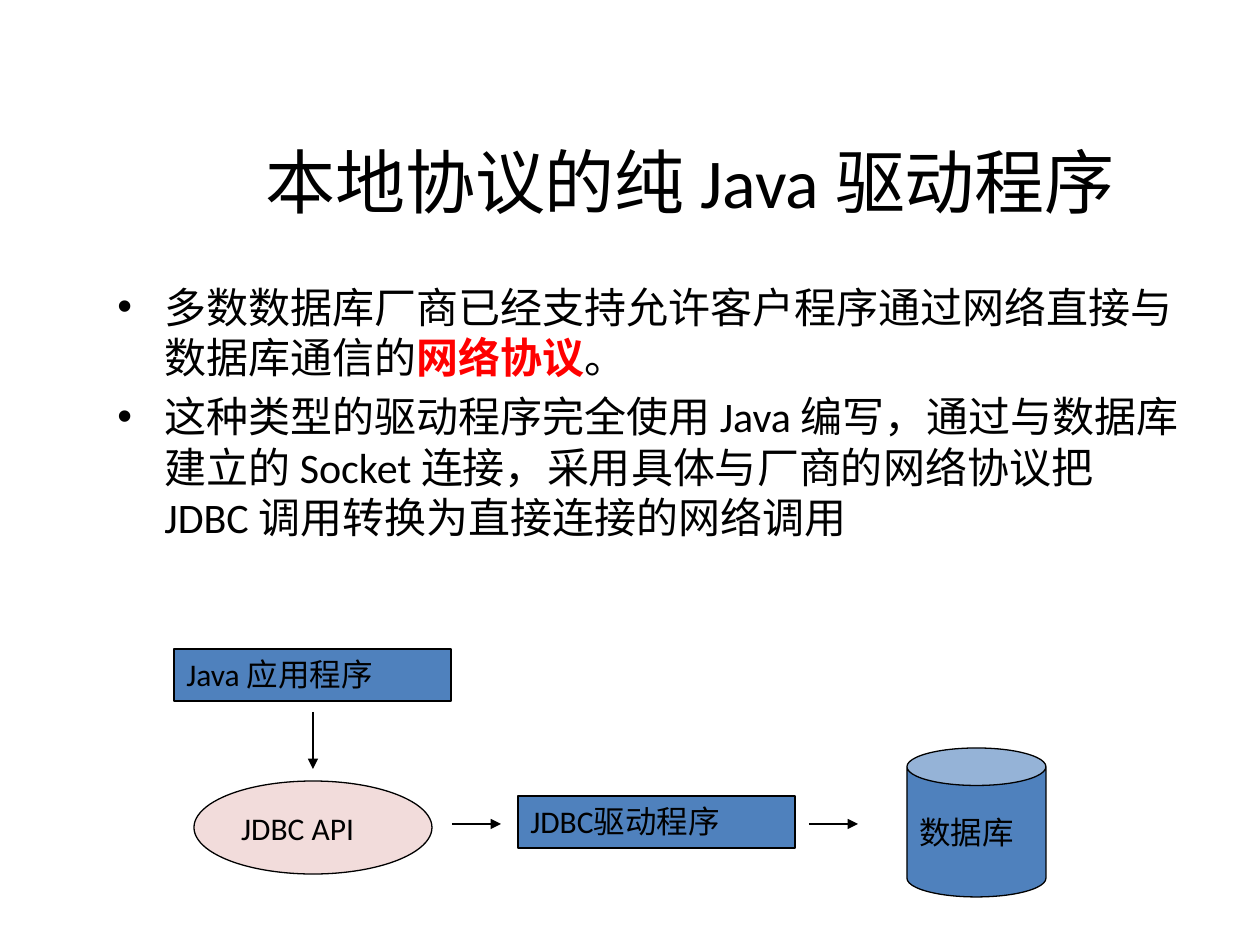
from lxml import etree
from pptx import Presentation
from pptx.dml.color import RGBColor
from pptx.enum.shapes import MSO_CONNECTOR, MSO_SHAPE
from pptx.enum.text import MSO_ANCHOR, MSO_AUTO_SIZE, PP_ALIGN
from pptx.oxml.ns import qn
from pptx.util import Emu, Pt

RECT, OVAL, CAN = MSO_SHAPE.RECTANGLE, MSO_SHAPE.OVAL, MSO_SHAPE.CAN
TOP, MIDDLE = MSO_ANCHOR.TOP, MSO_ANCHOR.MIDDLE
LEFT, CENTER = PP_ALIGN.LEFT, PP_ALIGN.CENTER
NO_FIT, STRAIGHT = MSO_AUTO_SIZE.NONE, MSO_CONNECTOR.STRAIGHT

BLACK, RED, BLUE, PINK = "000000", "FF0000", "4F81BD", "F2DCDB"
FONT, INDENT = "Calibri", 47

TITLE = "本地协议的纯 Java 驱动程序"
TITLE_BOX = (123, 96, 1134, 169)
BODY_BOX = (105, 275, 1087, 291)
BULLETS = [
    [("多数数据库厂商已经支持允许客户程序通过网络直接与数据库通信的", {}),
     ("网络协议", {"color": RED, "bold": True}),
     ("。", {})],
    [("这种类型的驱动程序完全使用 Java 编写，通过与数据库建立的 Socket 连接，"
      "采用具体与厂商的网络协议把 JDBC 调用转换为直接连接的网络调用", {})],
]
NODES = [
    ("Java 应用程序", RECT, (174, 649, 277, 52), BLUE, TOP, True),
    ("JDBC API", OVAL, (194, 781, 238, 93), PINK, MIDDLE, False),
    ("JDBC驱动程序", RECT, (518, 796, 277, 52), BLUE, TOP, True),
    ("数据库", CAN, (907, 748, 139, 149), BLUE, MIDDLE, False),
]
ARROWS = [(313, 712, 313, 769), (452, 824, 501, 824), (809, 824, 858, 824)]


def px(n):
    return Emu(round(n * 914400 / 126))


def rgb(color):
    return RGBColor.from_string(color)


def place(s, box):
    s.left, s.top, s.width, s.height = map(px, box)


def add_text(p, text, size, color=BLACK, bold=False, align=LEFT):
    p.alignment = align
    r = p.add_run()
    r.text = text
    r.font.name, r.font.size, r.font.bold = FONT, Pt(size), bold
    r.font.color.rgb = rgb(color)


def hang(p, bullet=None):
    pPr = p._p.get_or_add_pPr()
    pPr.set("marL", str(px(INDENT)))
    pPr.set("indent", str(-px(INDENT)))
    if bullet:
        etree.SubElement(pPr, qn("a:buFont")).set("typeface", "Arial")
        etree.SubElement(pPr, qn("a:buChar")).set("char", bullet)


def add_title(slide):
    s = slide.shapes.title
    place(s, TITLE_BOX)
    tf = s.text_frame
    tf.auto_size, tf.vertical_anchor = NO_FIT, MIDDLE
    add_text(tf.paragraphs[0], TITLE, 40, align=CENTER)


def add_body(slide):
    tf = slide.shapes.add_textbox(*map(px, BODY_BOX)).text_frame
    tf.word_wrap = True
    for i, runs in enumerate(BULLETS):
        p = tf.add_paragraph() if i else tf.paragraphs[0]
        if i:
            p.space_before = Pt(5)
        hang(p, "•")
        for text, style in runs:
            add_text(p, text, 24, **style)


def add_node(slide, text, kind, box, fill, anchor, wrap):
    s = slide.shapes.add_shape(kind, *map(px, box))
    s.shadow.inherit = False
    if kind == CAN:
        s.adjustments[0] = 0.27
    s.fill.solid()
    s.fill.fore_color.rgb = rgb(fill)
    s.line.color.rgb = rgb(BLACK)
    s.line.width = Pt(0.75)
    tf = s.text_frame
    tf.word_wrap, tf.vertical_anchor = wrap, anchor
    p = tf.paragraphs[0]
    hang(p)
    add_text(p, text, 18)


def add_arrow(slide, ends):
    s = slide.shapes.add_connector(STRAIGHT, *map(px, ends))
    s.line.color.rgb = rgb(BLACK)
    s.line.width = Pt(0.75)
    etree.SubElement(s.line._get_or_add_ln(), qn("a:tailEnd")).set("type", "triangle")
    etree.SubElement(s._element.spPr, qn("a:effectLst"))


def main():
    """Build the slide on the pure Java native-protocol driver."""
    prs = Presentation()
    prs.slide_width, prs.slide_height = px(1260), px(945)
    slide = prs.slides.add_slide(prs.slide_layouts[5])
    add_title(slide)
    add_body(slide)
    for node in NODES:
        add_node(slide, *node)
    for ends in ARROWS:
        add_arrow(slide, ends)
    prs.save("out.pptx")


if __name__ == "__main__":
    main()
